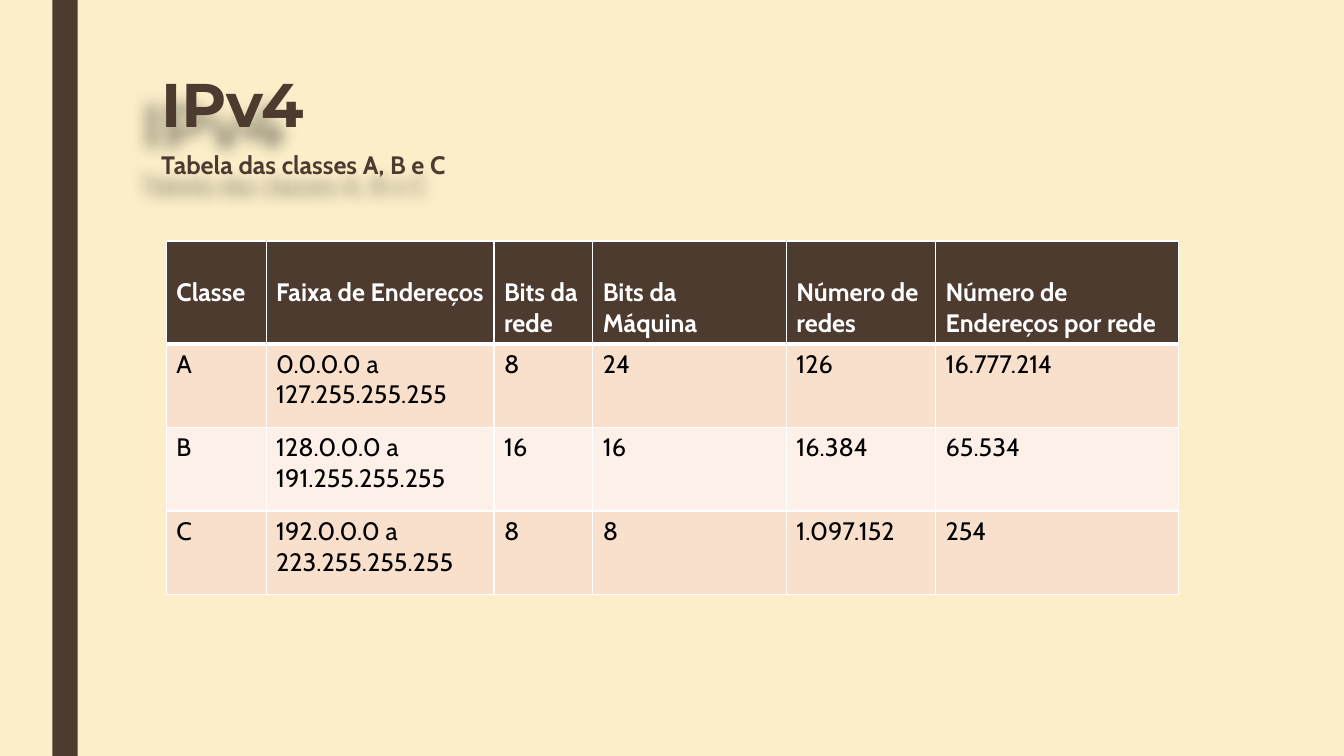
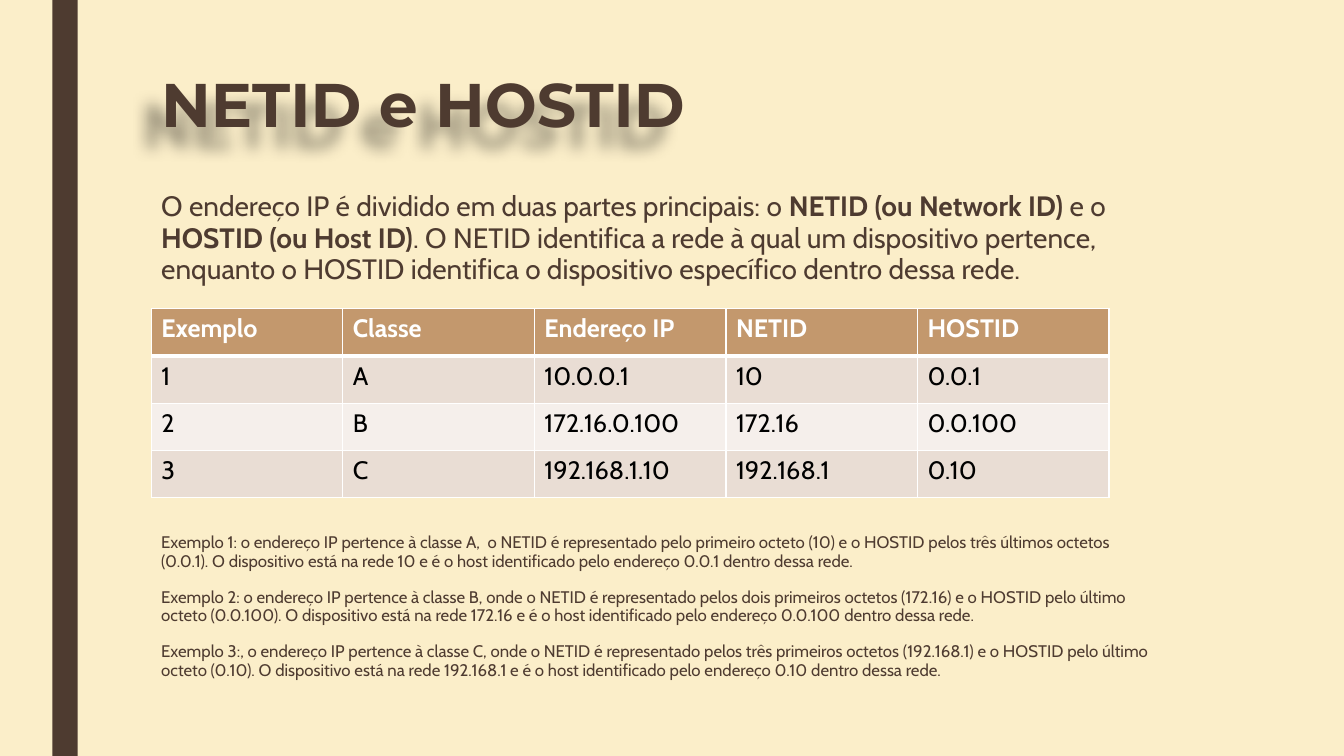
import dataclasses
import typing

import lxml.etree
import pptx
import pptx.dml.color
import pptx.enum.shapes
import pptx.enum.text
import pptx.oxml
import pptx.oxml.ns
import pptx.util

Inches = pptx.util.Inches
Pt = pptx.util.Pt
DRAWING = "http://schemas.openxmlformats.org/drawingml/2006/main"


@dataclasses.dataclass(frozen=True)
class Theme:
    background: str = "FBEEC9"
    brown: str = "4E3B30"
    tan: str = "C3986D"
    white: str = "FFFFFF"
    black: str = "000000"
    peach_bands: tuple[str, str] = ("F9E0CD", "FCF0E8")
    sand_bands: tuple[str, str] = ("E9DDD4", "F5EFEB")
    title_font: str = "Montserrat"
    body_font: str = "Cabin"
    title_size: int = 44
    intro_size: int = 20
    table_size: int = 18
    note_size: int = 12
    title_spacing: float = 0.89
    body_spacing: float = 0.94


THEME = Theme()


class Area(typing.NamedTuple):
    left: float
    top: float
    width: float
    height: float


class Span(typing.NamedTuple):
    text: str
    bold: bool = False


@dataclasses.dataclass(frozen=True)
class TextStyle:
    size: int
    color: str = THEME.brown
    font: str = THEME.body_font
    spacing: float = 1.0
    space_after: int = 0


@dataclasses.dataclass(frozen=True)
class TableSpec:
    left: float
    top: float
    columns: list[float]
    header_height: float
    row_height: float
    header_fill: str
    bands: tuple[str, str]
    rows: list[list[str]]
    header_margin: float = 0.05


TITLE_STYLE = TextStyle(THEME.title_size, font=THEME.title_font, spacing=THEME.title_spacing)
SUBTITLE_STYLE = TextStyle(THEME.table_size, spacing=THEME.title_spacing)
INTRO_STYLE = TextStyle(THEME.intro_size, spacing=THEME.body_spacing)
NOTE_STYLE = TextStyle(THEME.note_size, spacing=THEME.body_spacing, space_after=12)
HEADER_STYLE = TextStyle(THEME.table_size, THEME.white)
CELL_STYLE = TextStyle(THEME.table_size, THEME.black)

CLASS_TABLE = TableSpec(
    left=1.65, top=2.39, columns=[0.99, 2.26, 0.98, 1.92, 1.48, 2.41],
    header_height=1.02, row_height=0.83, header_margin=0.36,
    header_fill=THEME.brown, bands=THEME.peach_bands,
    rows=[
        ["Classe", "Faixa de Endereços", "Bits da\nrede", "Bits da Máquina",
         "Número de\nredes", "Número de\nEndereços por rede"],
        ["A", "0.0.0.0 a 127.255.255.255", "8", "24", "126", "16.777.214"],
        ["B", "128.0.0.0 a 191.255.255.255", "16", "16", "16.384", "65.534"],
        ["C", "192.0.0.0 a 223.255.255.255", "8", "8", "1.097.152", "254"],
    ],
)

EXAMPLE_TABLE = TableSpec(
    left=1.5, top=3.06, columns=[1.9] * 5, header_height=0.47, row_height=0.47,
    header_fill=THEME.tan, bands=THEME.sand_bands,
    rows=[
        ["Exemplo", "Classe", "Endereço IP", "NETID", "HOSTID"],
        ["1", "A", "10.0.0.1", "10", "0.0.1"],
        ["2", "B", "172.16.0.100", "172.16", "0.0.100"],
        ["3", "C", "192.168.1.10", "192.168.1", "0.10"],
    ],
)

INTRO = [
    Span("O endereço IP é dividido em duas partes principais: o "),
    Span("NETID (ou Network ID) ", True),
    Span("e o "),
    Span("HOSTID (ou Host ID)", True),
    Span(". O NETID identifica a rede à qual um dispositivo pertence, enquanto o HOSTID "
         "identifica o dispositivo específico dentro dessa rede."),
]

NOTES = [
    "Exemplo 1: o endereço IP pertence à classe A,  o NETID é representado pelo primeiro "
    "octeto (10) e o HOSTID pelos três últimos octetos (0.0.1). O dispositivo está na rede "
    "10 e é o host identificado pelo endereço 0.0.1 dentro dessa rede.",
    "Exemplo 2: o endereço IP pertence à classe B, onde o NETID é representado pelos dois "
    "primeiros octetos (172.16) e o HOSTID pelo último octeto (0.0.100). O dispositivo está "
    "na rede 172.16 e é o host identificado pelo endereço 0.0.100 dentro dessa rede.",
    "Exemplo 3:, o endereço IP pertence à classe C, onde o NETID é representado pelos três "
    "primeiros octetos (192.168.1) e o HOSTID pelo último octeto (0.10). O dispositivo está "
    "na rede 192.168.1 e é o host identificado pelo endereço 0.10 dentro dessa rede.",
]


def rgb(color: str) -> pptx.dml.color.RGBColor:
    return pptx.dml.color.RGBColor.from_string(color)


# Text
def style_run(run, style: TextStyle, bold: bool) -> None:
    run.font.name = style.font
    run.font.size = Pt(style.size)
    run.font.bold = bold
    run.font.color.rgb = rgb(style.color)


def add_text(page, area: Area, paragraphs: list[list[Span]], style: TextStyle):
    box = page.shapes.add_textbox(*map(Inches, area))
    frame = box.text_frame
    frame.word_wrap = True
    frame.vertical_anchor = pptx.enum.text.MSO_ANCHOR.TOP
    for index, spans in enumerate(paragraphs):
        para = frame.add_paragraph() if index else frame.paragraphs[0]
        para.line_spacing = style.spacing
        para.space_after = Pt(style.space_after)
        for span in spans:
            run = para.add_run()
            run.text = span.text
            style_run(run, style, span.bold)
    return box


def add_shadow(box) -> None:
    """Cast a soft shadow to the lower left of the text."""
    box._element.spPr.append(pptx.oxml.parse_xml(
        f'<a:effectLst xmlns:a="{DRAWING}">'
        f'<a:outerShdw blurRad="{Inches(0.15)}" dist="{Inches(0.28)}" dir="8100000" '
        'algn="tr" rotWithShape="0"><a:srgbClr val="000000"><a:alpha val="40000"/>'
        '</a:srgbClr></a:outerShdw></a:effectLst>'))


def add_heading(page, area: Area, text: str, style: TextStyle) -> None:
    add_shadow(add_text(page, area, [[Span(text, True)]], style))


# Tables
def set_borders(cell, top: float, bottom: float) -> None:
    properties = cell._tc.get_or_add_tcPr()
    sides = {"lnL": 1, "lnR": 1, "lnT": top, "lnB": bottom}
    for index, (side, width) in enumerate(sides.items()):
        line = lxml.etree.Element(pptx.oxml.ns.qn(f"a:{side}"), w=str(Pt(width)))
        fill = lxml.etree.SubElement(line, pptx.oxml.ns.qn("a:solidFill"))
        lxml.etree.SubElement(fill, pptx.oxml.ns.qn("a:srgbClr"), val=THEME.white)
        properties.insert(index, line)


def add_table(page, spec: TableSpec) -> None:
    heights = [spec.header_height] + [spec.row_height] * (len(spec.rows) - 1)
    area = Area(spec.left, spec.top, sum(spec.columns), sum(heights))
    table = page.shapes.add_table(
        len(heights), len(spec.columns), *map(Inches, area)).table
    table.first_row = table.horz_banding = False
    for column, width in zip(table.columns, spec.columns):
        column.width = Inches(width)
    for row_index, (row, height, texts) in enumerate(zip(table.rows, heights, spec.rows)):
        row.height = Inches(height)
        header = row_index == 0
        color = spec.header_fill if header else spec.bands[(row_index - 1) % 2]
        for cell, text in zip(row.cells, texts):
            cell.fill.solid()
            cell.fill.fore_color.rgb = rgb(color)
            set_borders(cell, top=3 if row_index == 1 else 1, bottom=3 if header else 1)
            if header:
                cell.margin_top = Inches(spec.header_margin)
            cell.text_frame.text = text
            for para in cell.text_frame.paragraphs:
                for run in para.runs:
                    style_run(run, HEADER_STYLE if header else CELL_STYLE, header)


# Shared page: background, side band and title
def add_page(deck, title: str):
    page = deck.slides.add_slide(deck.slide_layouts[6])
    page.background.fill.solid()
    page.background.fill.fore_color.rgb = rgb(THEME.background)
    band = page.shapes.add_shape(
        pptx.enum.shapes.MSO_SHAPE.RECTANGLE, *map(Inches, Area(0.52, 0, 0.25, 7.5)))
    band.shadow.inherit = False
    band.fill.solid()
    band.fill.fore_color.rgb = rgb(THEME.brown)
    band.line.fill.background()
    add_heading(page, Area(1.5, 0.69, 10.5, 0.92), title, TITLE_STYLE)
    return page


def main() -> None:
    deck = pptx.Presentation()
    deck.slide_width = Inches(13.33)
    deck.slide_height = Inches(7.5)

    # Address classes
    page = add_page(deck, "IPv4")
    add_heading(page, Area(1.5, 1.47, 5.17, 0.4), "Tabela das classes A, B e C", SUBTITLE_STYLE)
    add_table(page, CLASS_TABLE)

    # Network and host parts
    page = add_page(deck, "NETID e HOSTID")
    add_text(page, Area(1.5, 1.85, 10.09, 1.1), [INTRO], INTRO_STYLE)
    add_table(page, EXAMPLE_TABLE)
    add_text(page, Area(1.5, 5.24, 10.09, 1.8), [[Span(note)] for note in NOTES], NOTE_STYLE)

    deck.save("out.pptx")


if __name__ == "__main__":
    main()
